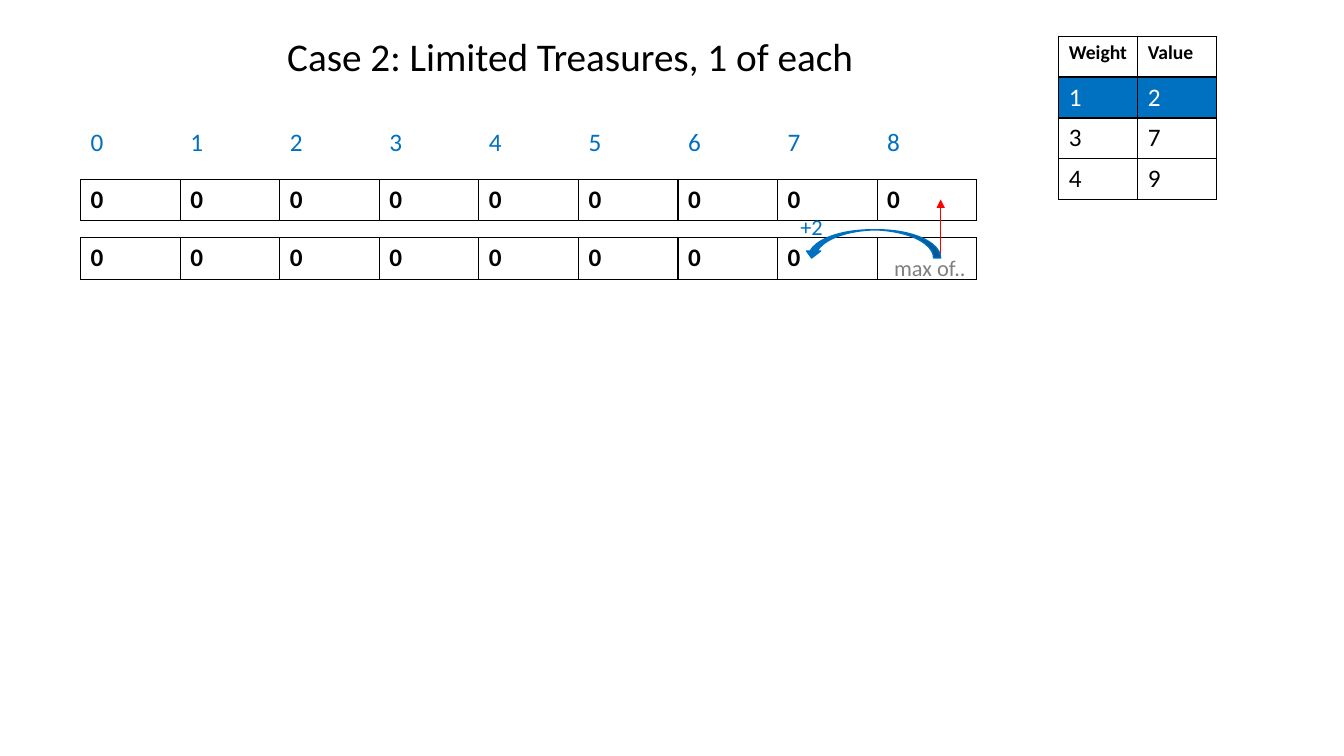
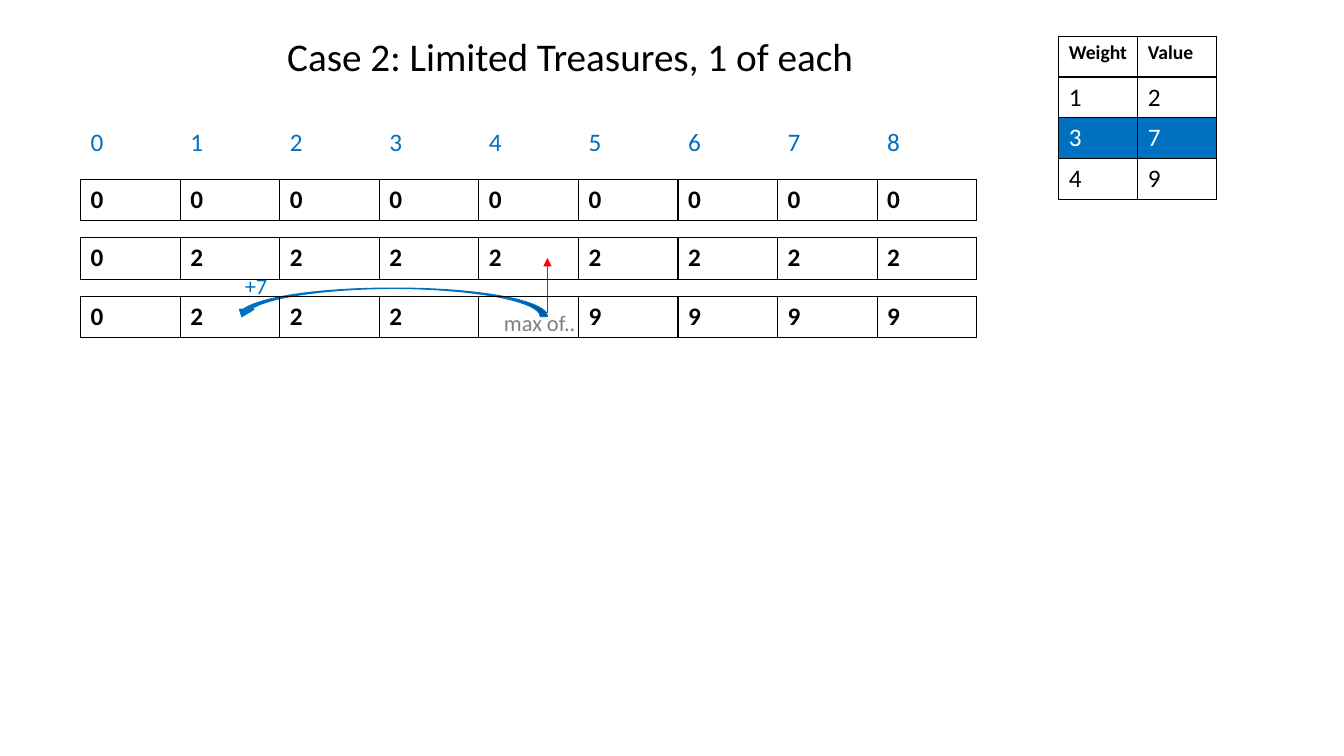
from lxml.etree import SubElement as Sub
from pptx import Presentation
from pptx.dml.color import RGBColor
from pptx.enum.shapes import MSO_CONNECTOR as Wire, MSO_SHAPE as Form
from pptx.enum.text import MSO_AUTO_SIZE as Fit
from pptx.oxml.ns import qn
from pptx.util import Pt

PX = 9144
BLACK = RGBColor(0, 0, 0)
WHITE = RGBColor(255, 255, 255)
BLUE = RGBColor(0, 0x70, 0xC0)
RED = RGBColor(255, 0, 0)
GREY = RGBColor(0x80, 0x80, 0x80)

LEFT, TOP, STEP = 80, 178, 58
WIDE, HIGH = 889, 41
ITEMS = [("1", "2"), ("3", "7"), ("4", "9")]


class Pen:
    font = "Calibri"

    def __init__(self, deck):
        self.deck = deck
        self.slide = self.home = None

    def page(self):
        self.slide = self.deck.slides.add_slide(self.deck.slide_layouts[6])
        self.home = self.slide.shapes

    def group(self):
        self.home = self.slide.shapes.add_group_shape().shapes

    def ungroup(self):
        self.home = self.slide.shapes

    def run(self, para, text, size, color, bold=False):
        run = para.add_run()
        run.text = text
        run.font.name = self.font
        run.font.size = Pt(size)
        run.font.bold = bold
        run.font.color.rgb = color

    def text(self, x, y, w, h, text, size, color):
        box = self.home.add_textbox(x * PX, y * PX, w * PX, h * PX)
        frame = box.text_frame
        frame.word_wrap = False
        frame.auto_size = Fit.SHAPE_TO_FIT_TEXT
        self.run(frame.paragraphs[0], text, size, color)

    def edge(self, cell, color):
        props = cell._tc.get_or_add_tcPr()
        for side in ("lnL", "lnR", "lnT", "lnB"):
            line = Sub(props, qn(f"a:{side}"), w=str(Pt(1)))
            if color is None:
                Sub(line, qn("a:noFill"))
            else:
                fill = Sub(line, qn("a:solidFill"))
                Sub(fill, qn("a:srgbClr"), val=str(color))

    def cell(self, cell, text, size, color, bold, fill, edge):
        self.edge(cell, edge)
        if fill is None:
            cell.fill.background()
        else:
            cell.fill.solid()
            cell.fill.fore_color.rgb = fill
        if text:
            self.run(cell.text_frame.paragraphs[0], text, size, color, bold)

    def grid(self, x, y, w, h, rows, style, edge=BLACK):
        count = len(rows[0])
        frame = self.home.add_table(len(rows), count, x * PX, y * PX, w * PX, h * PX)
        table = frame.table
        table.first_row = table.horz_banding = False
        for col in table.columns:
            col.width = w * PX // count
        for r, row in enumerate(rows):
            size, color, bold, fill = style(r)
            for c, text in enumerate(row):
                self.cell(table.cell(r, c), text, size, color, bold, fill, edge)

    def arrow(self, x, start, end, color):
        line = self.home.add_connector(Wire.STRAIGHT, x * PX, start * PX, x * PX, end * PX)
        line.line.color.rgb = color
        line.line.width = Pt(1)
        Sub(line.line._get_or_add_ln(), qn("a:tailEnd"), type="triangle")
        Sub(line._element.spPr, qn("a:effectLst"))

    def curve(self, x, y, w, h, color):
        shape = self.home.add_shape(Form.CURVED_UP_ARROW, x * PX, y * PX, w * PX, h * PX)
        shape.shadow.inherit = False
        shape.fill.solid()
        shape.fill.fore_color.rgb = color
        shape.line.color.rgb = color
        shape.line.width = Pt(1)
        frame = shape._element.spPr.xfrm
        frame.set("flipH", "1")
        frame.set("flipV", "1")


def title(pen):
    pen.text(275, 27, 588, 57, "Case 2: Limited Treasures, 1 of each", 28, BLACK)


def prices(pen, pick):
    def style(row):
        if row == 0:
            return 14, BLACK, True, None
        if row == pick:
            return 18, WHITE, False, BLUE
        return 18, BLACK, False, None

    pen.grid(1050, 36, 157, 162, [("Weight", "Value"), *ITEMS], style)


def sums(pen, rows):
    pen.grid(LEFT, 121, WIDE, HIGH, ["012345678"], lambda row: (18, BLUE, False, None), None)
    for i, row in enumerate(rows):
        pen.grid(LEFT, TOP + i * STEP, WIDE, HIGH, [row], lambda row: (18, BLACK, True, None))


def hop(pen, row, start, end, gain, tag, note):
    y = TOP + row * STEP
    pen.group()
    pen.arrow(start, y + 17, y - 38, RED)
    pen.text(tag, y - 29, 43, 37, gain, 16, BLUE)
    pen.text(*note, 92, 37, "max of..", 16, GREY)
    pen.curve(end, y - 8, start - end, 28, BLUE)
    pen.ungroup()


def main():
    deck = Presentation()
    deck.slide_width, deck.slide_height = 1333 * PX, 750 * PX
    pen = Pen(deck)

    pen.page()
    sums(pen, ["0" * 9, [*"0" * 8, ""]])
    prices(pen, 1)
    hop(pen, 1, 933, 798, "+2", 784, (877, 247))
    title(pen)

    pen.page()
    hop(pen, 2, 543, 233, "+7", 233, (490, 302))
    sums(pen, ["0" * 9, "0" + "2" * 8, [*"0222", "", *"9999"]])
    prices(pen, 2)
    title(pen)

    deck.save("out.pptx")


if __name__ == "__main__":
    main()
